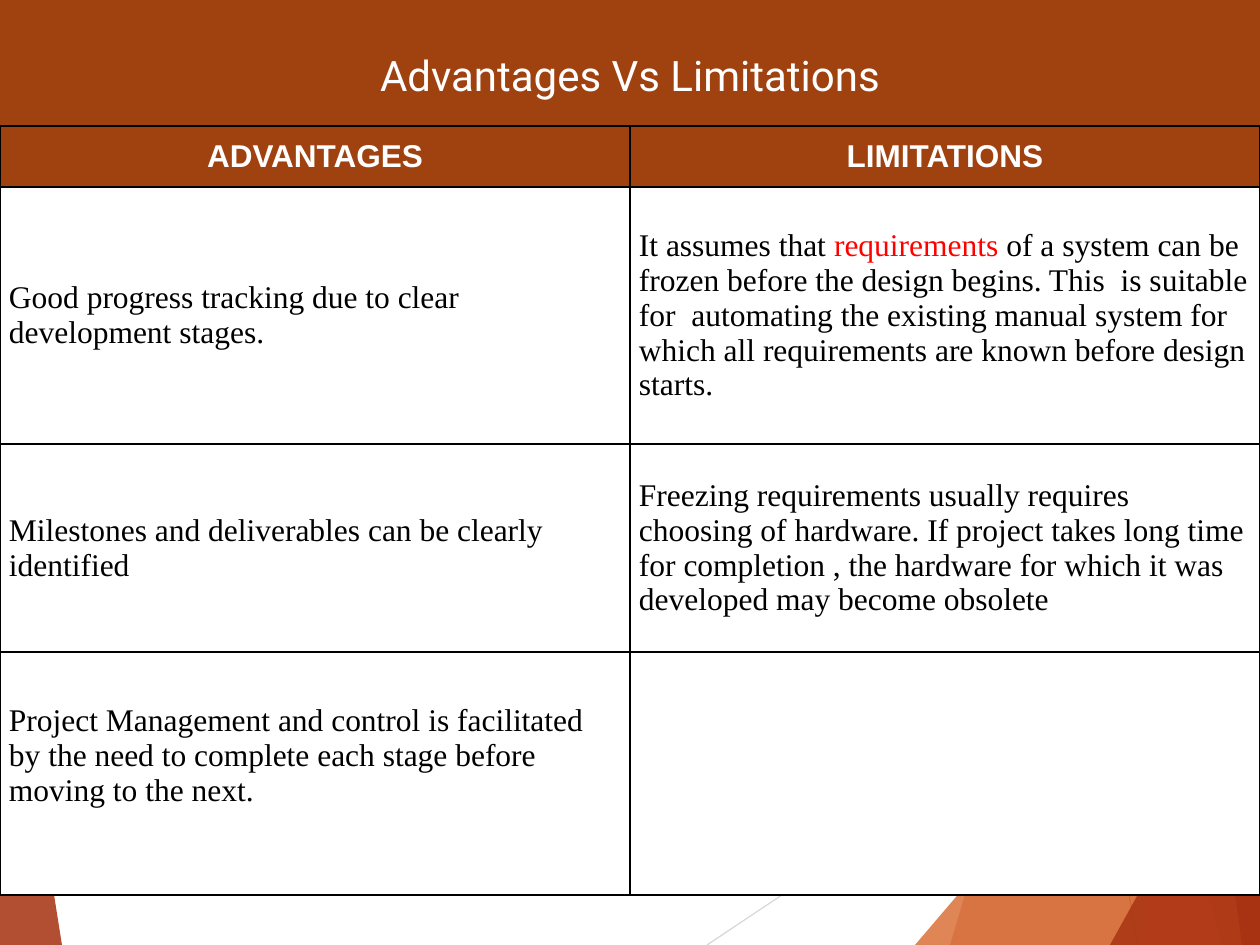
"""Build the slide comparing advantages and limitations in a two-column table."""
from lxml import etree
from pptx import Presentation
from pptx.dml.color import RGBColor
from pptx.enum.shapes import MSO_CONNECTOR, MSO_SHAPE
from pptx.enum.text import MSO_ANCHOR, PP_ALIGN
from pptx.oxml.ns import qn
from pptx.util import Pt

PX = 914400 / 126
WIDTH, HEIGHT = 1260, 945
STRAIGHT = MSO_CONNECTOR.STRAIGHT
RECTANGLE = MSO_SHAPE.RECTANGLE
MIDDLE, BOTTOM = MSO_ANCHOR.MIDDLE, MSO_ANCHOR.BOTTOM
CENTER, LEFT = PP_ALIGN.CENTER, PP_ALIGN.LEFT

BROWN = RGBColor(0xA0, 0x42, 0x10)
RUST = RGBColor(0xA5, 0x30, 0x0F)
ORANGE = RGBColor(0xD5, 0x58, 0x16)
CORAL = RGBColor(0xEE, 0x6E, 0x4A)
PALE_GRAY = RGBColor(0xD9, 0xD9, 0xD9)
GRAY = RGBColor(0xBF, 0xBF, 0xBF)
WHITE = RGBColor(0xFF, 0xFF, 0xFF)
BLACK = RGBColor(0, 0, 0)
RED = RGBColor(0xFF, 0, 0)

TITLE = "Advantages Vs Limitations"
TITLE_HEIGHT = 126
TITLE_BOTTOM_INSET = 25
SIDE_INSET, EDGE_INSET = 9, 5
LAST_ROW_INSET = 40

LEFT_FACET = ([(0, 553), (62, HEIGHT), (0, HEIGHT)], RUST, 85)
RIGHT_FACETS = [
    ([(1229, 0), (950, HEIGHT), (WIDTH, HEIGHT), (WIDTH, 0)], RUST, 30),
    ([(993, 0), (1158, HEIGHT), (WIDTH, HEIGHT), (WIDTH, 0)], RUST, 20),
    ([(915, HEIGHT), (WIDTH, 541), (WIDTH, HEIGHT)], ORANGE, 72),
    ([(966, 0), (1222, HEIGHT), (WIDTH, HEIGHT), (WIDTH, 0)], BROWN, 70),
    ([(1236, 0), (1143, HEIGHT), (WIDTH, HEIGHT), (WIDTH, 0)], CORAL, 70),
    ([(1113, 0), (1242, HEIGHT), (WIDTH, HEIGHT), (WIDTH, 0)], RUST, 65),
    ([(1110, HEIGHT), (WIDTH, 674), (WIDTH, HEIGHT)], RUST, 80),
]
RAYS = [((707, 945), (1260, 576), PALE_GRAY), ((970, 0), (1138, 945), GRAY)]

HEADINGS = ["ADVANTAGES", "LIMITATIONS"]
ROW_HEIGHTS = [61, 257, 208, 243]
ROWS = [
    (
        [("Good progress tracking due to clear development stages.", BLACK)],
        [
            ("It assumes that ", BLACK),
            ("requirements", RED),
            (" of a system can be frozen before the design begins. This  is "
             "suitable for  automating the existing manual system for which all "
             "requirements are known before design starts.", BLACK),
        ],
    ),
    (
        [("Milestones and deliverables can be clearly identified", BLACK)],
        [("Freezing requirements usually requires choosing of hardware. If "
          "project takes long time for completion , the hardware for which it "
          "was developed may become obsolete", BLACK)],
    ),
    (
        [("Project Management and control is facilitated by the need to "
          "complete each stage before moving to the next.", BLACK)],
        [],
    ),
]


def px(length):
    return round(length * PX)


def add_facet(slide, points, color, opacity):
    builder = slide.shapes.build_freeform(*points[0], scale=PX)
    builder.add_line_segments(points[1:], close=True)
    facet = builder.convert_to_shape()
    facet.shadow.inherit = False
    facet.line.fill.background()
    facet.fill.solid()
    facet.fill.fore_color.rgb = color
    tint = facet._element.spPr.find(qn("a:solidFill"))[0]
    etree.SubElement(tint, qn("a:alpha"), val=str(opacity * 1000))


def add_ray(slide, start, end, color):
    ray = slide.shapes.add_connector(STRAIGHT, *map(px, start + end))
    ray.line.color.rgb = color
    ray.line.width = Pt(0.75)
    etree.SubElement(ray._element.spPr, qn("a:effectLst"))


def set_font(para, name, size, color=None, bold=False):
    para.font.name = name
    para.font.size = Pt(size)
    para.font.bold = bold
    if color is not None:
        para.font.color.rgb = color


def add_title(slide):
    box = slide.shapes.add_shape(RECTANGLE, 0, 0, px(WIDTH), px(TITLE_HEIGHT))
    box.shadow.inherit = False
    box.line.fill.background()
    box.fill.solid()
    box.fill.fore_color.rgb = BROWN
    frame = box.text_frame
    frame.word_wrap = True
    frame.vertical_anchor = BOTTOM
    frame.margin_bottom = px(TITLE_BOTTOM_INSET)
    para = frame.paragraphs[0]
    para.text = TITLE
    para.alignment = CENTER
    para.line_spacing = 0.95
    set_font(para, "Roboto", 24, WHITE)


def add_borders(cell):
    properties = cell._tc.get_or_add_tcPr()
    for index, side in enumerate(("a:lnL", "a:lnR", "a:lnT", "a:lnB")):
        border = etree.Element(qn(side), w=str(Pt(1)))
        fill = etree.SubElement(border, qn("a:solidFill"))
        etree.SubElement(fill, qn("a:srgbClr"), val=str(BLACK))
        properties.insert(index, border)


def style_cell(cell, color):
    cell.fill.solid()
    cell.fill.fore_color.rgb = color
    cell.vertical_anchor = MIDDLE
    cell.margin_left = cell.margin_right = px(SIDE_INSET)
    cell.margin_top = cell.margin_bottom = px(EDGE_INSET)
    add_borders(cell)


def add_comparison(slide):
    table = slide.shapes.add_table(
        len(ROW_HEIGHTS), len(HEADINGS), 0, px(TITLE_HEIGHT),
        px(WIDTH), px(sum(ROW_HEIGHTS))).table
    for row, height in zip(table.rows, ROW_HEIGHTS):
        row.height = px(height)
    for column, heading in enumerate(HEADINGS):
        cell = table.cell(0, column)
        style_cell(cell, BROWN)
        para = cell.text_frame.paragraphs[0]
        para.text = heading
        para.alignment = CENTER
        set_font(para, "Arial", 18, WHITE, bold=True)
    for row, entries in enumerate(ROWS, start=1):
        for column, spans in enumerate(entries):
            cell = table.cell(row, column)
            style_cell(cell, WHITE)
            para = cell.text_frame.paragraphs[0]
            para.alignment = LEFT
            set_font(para, "Times New Roman", 18)
            for text, color in spans:
                span = para.add_run()
                span.text = text
                span.font.color.rgb = color
    table.cell(len(ROWS), 0).margin_bottom = px(LAST_ROW_INSET)


def main():
    deck = Presentation()
    deck.slide_width, deck.slide_height = px(WIDTH), px(HEIGHT)
    slide = deck.slides.add_slide(deck.slide_layouts[6])
    add_facet(slide, *LEFT_FACET)
    for ray in RAYS:
        add_ray(slide, *ray)
    for facet in RIGHT_FACETS:
        add_facet(slide, *facet)
    add_title(slide)
    add_comparison(slide)
    deck.save("out.pptx")


if __name__ == "__main__":
    main()
